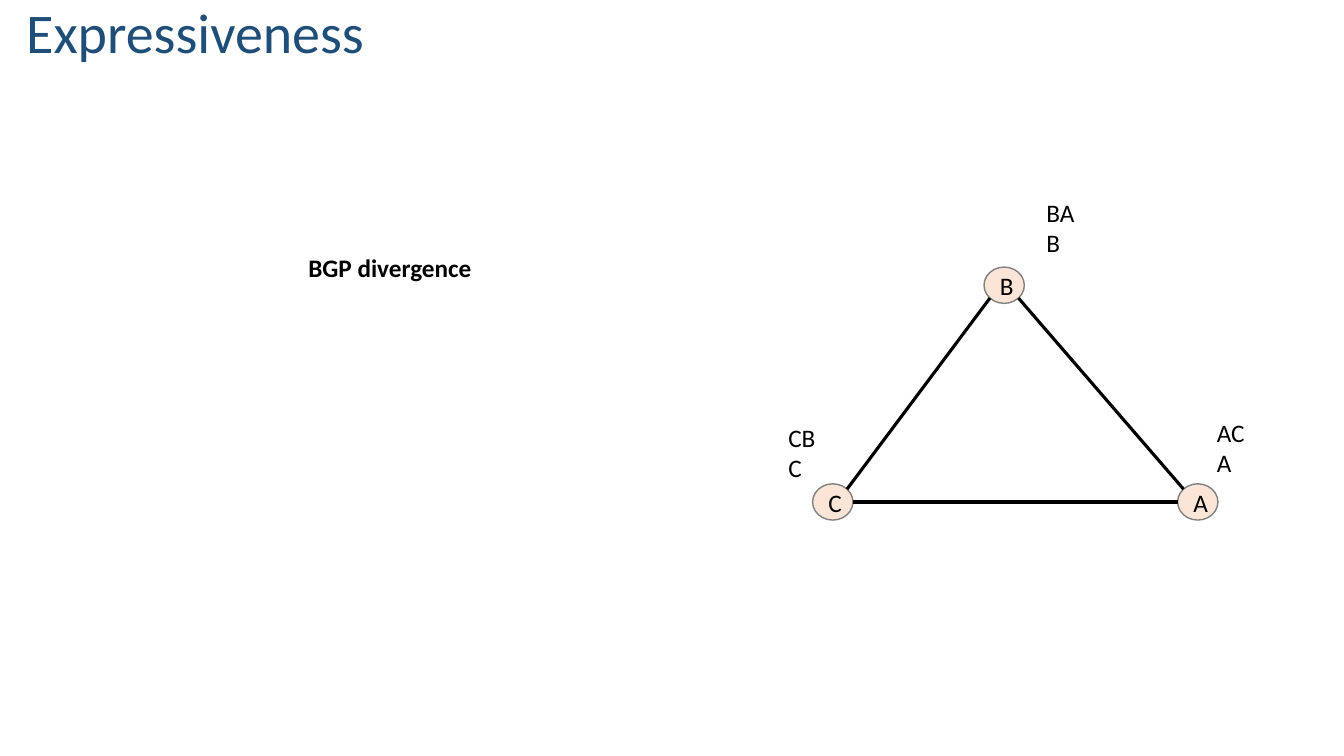
from itertools import combinations
from math import sqrt

from lxml.etree import SubElement
from pptx import Presentation
from pptx.dml.color import RGBColor
from pptx.enum.shapes import MSO_CONNECTOR, MSO_SHAPE
from pptx.enum.text import MSO_ANCHOR, MSO_AUTO_SIZE, PP_ALIGN
from pptx.oxml.ns import qn
from pptx.util import Inches, Pt

NODE_WIDTH, NODE_HEIGHT = 0.4, 0.36


def colour(value):
    return RGBColor.from_string(value)


def add_span(para, text, size=18, ink="000000", bold=False):
    span = para.add_run()
    span.text = text
    span.font.name = "Calibri"
    span.font.size = Pt(size)
    span.font.bold = bold
    span.font.color.rgb = colour(ink)


def add_title(page, text, left, top, width, height):
    title = page.shapes.title
    title.left, title.top = Inches(left), Inches(top)
    title.width, title.height = Inches(width), Inches(height)
    frame = title.text_frame
    frame.auto_size = MSO_AUTO_SIZE.NONE
    frame.vertical_anchor = MSO_ANCHOR.BOTTOM
    para = frame.paragraphs[0]
    para.alignment = PP_ALIGN.LEFT
    para.line_spacing = 0.9
    add_span(para, text, 40, "1F4E79")


def add_label(page, lines, left, top, width, height, bold=False):
    box = page.shapes.add_textbox(Inches(left), Inches(top), Inches(width), Inches(height))
    frame = box.text_frame
    frame.word_wrap = False
    frame.auto_size = MSO_AUTO_SIZE.SHAPE_TO_FIT_TEXT
    for index, line in enumerate(lines):
        para = frame.add_paragraph() if index else frame.paragraphs[0]
        add_span(para, line, bold=bold)


def add_node(page, name, left, top):
    node = page.shapes.add_shape(
        MSO_SHAPE.OVAL, Inches(left), Inches(top), Inches(NODE_WIDTH), Inches(NODE_HEIGHT)
    )
    node.shadow.inherit = False
    node.fill.solid()
    node.fill.fore_color.rgb = colour("FBE5D6")
    node.line.color.rgb = colour("808080")
    node.line.width = Pt(1)
    node.text_frame.vertical_anchor = MSO_ANCHOR.MIDDLE
    para = node.text_frame.paragraphs[0]
    para.alignment = PP_ALIGN.CENTER
    add_span(para, name)


def rim_point(start, end):
    across = (end[0] > start[0]) - (end[0] < start[0])
    down = (end[1] > start[1]) - (end[1] < start[1])
    reach = 1 / sqrt(abs(across) + abs(down))
    return (
        Inches(start[0] + NODE_WIDTH / 2 * (1 + across * reach)),
        Inches(start[1] + NODE_HEIGHT / 2 * (1 + down * reach)),
    )


def add_edge(page, start, end):
    edge = page.shapes.add_connector(
        MSO_CONNECTOR.STRAIGHT, *rim_point(start, end), *rim_point(end, start)
    )
    edge.line.color.rgb = colour("000000")
    edge.line.width = Pt(2.25)
    SubElement(edge._element.spPr, qn("a:effectLst"))


def add_network(page, left, top):
    nodes = {
        "B": (left + 2.04, top + 0.74),
        "A": (left + 3.96, top + 2.89),
        "C": (left + 0.34, top + 2.89),
    }
    preferences = {
        "B": (["BA", "B"], 0.52, -0.74),
        "A": (["AC", "A"], 0.29, -0.71),
        "C": (["CB", "C"], -0.34, -0.66),
    }
    for name, corner in nodes.items():
        add_node(page, name, *corner)
    for start, end in combinations(nodes.values(), 2):
        add_edge(page, start, end)
    for name, (routes, across, down) in preferences.items():
        node_left, node_top = nodes[name]
        add_label(page, routes, node_left + across, node_top + down, 0.48, 0.71)


def main():
    deck = Presentation()
    deck.slide_width, deck.slide_height = Inches(13.33), Inches(7.5)
    page = deck.slides.add_slide(deck.slide_layouts[5])
    add_title(page, "Expressiveness", 0.16, -0.23, 8.9, 0.93)
    add_network(page, 7.72, 1.91)
    add_label(page, ["BGP divergence"], 2.96, 2.45, 1.83, 0.4, bold=True)
    deck.save("out.pptx")


if __name__ == "__main__":
    main()
